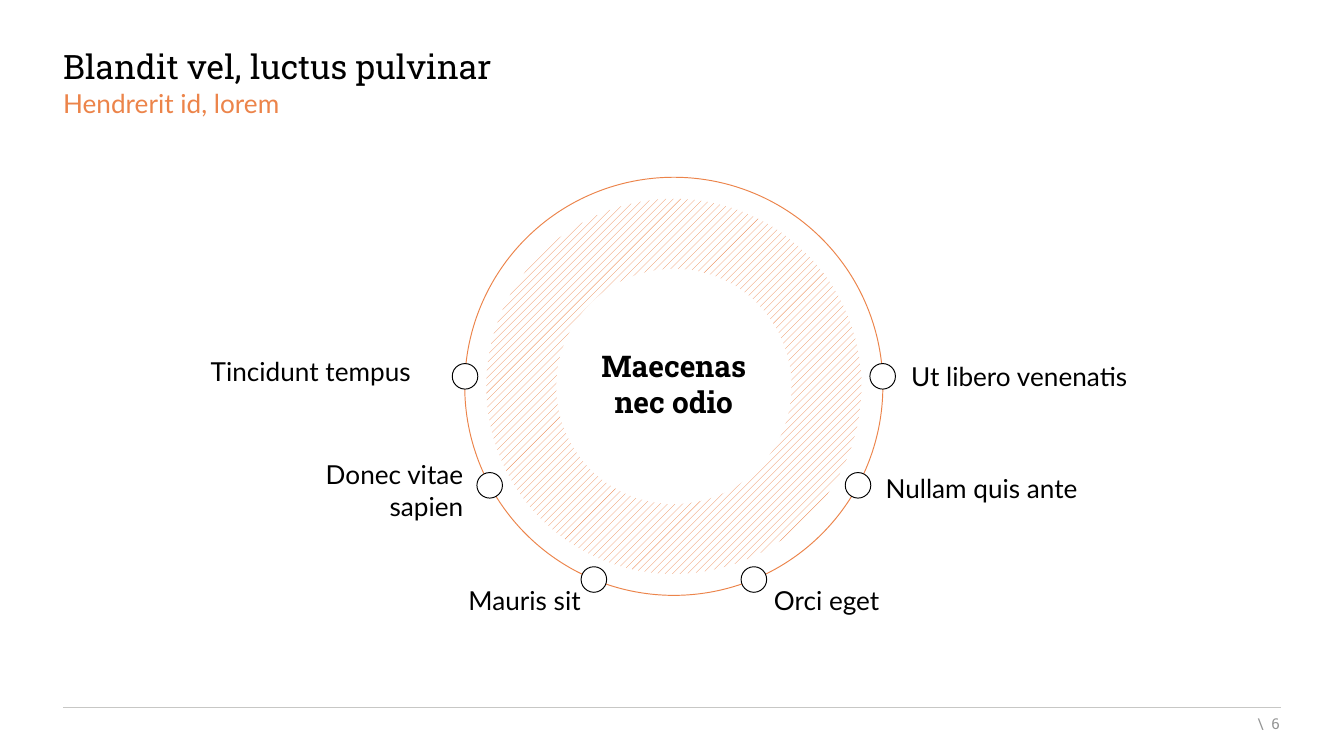
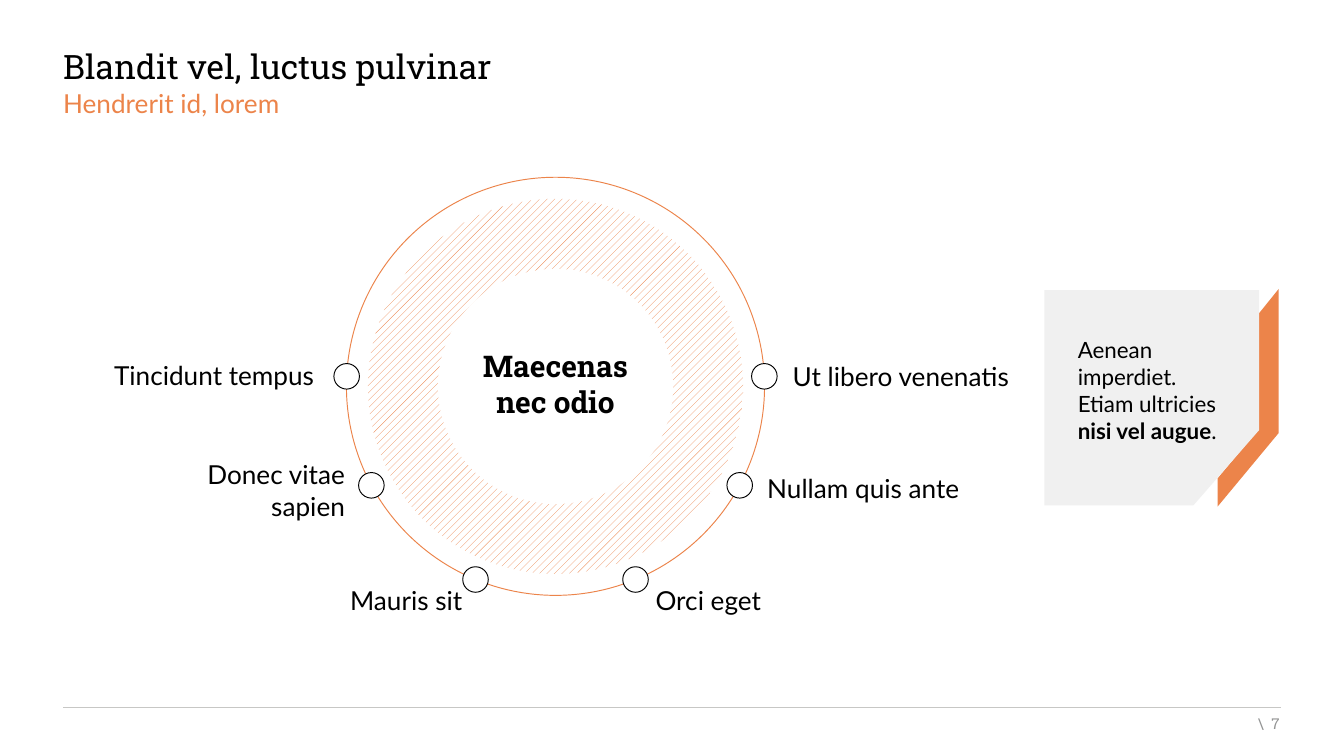
"""Build two ring diagram slides with six labelled points, the second with a note card."""
import math

import pptx
import pptx.dml.color
import pptx.enum.dml
import pptx.enum.shapes
import pptx.enum.text
import pptx.oxml
import pptx.oxml.ns
import pptx.util

Pt = pptx.util.Pt
ALIGN = pptx.enum.text.PP_ALIGN
ANCHOR = pptx.enum.text.MSO_ANCHOR
OVAL = pptx.enum.shapes.MSO_SHAPE.OVAL
ORANGE, BLACK, WHITE = "EC844A", "000000", "FFFFFF"
PAGE_GREY, RULE_GREY, CARD_GREY = "939494", "C7C7C5", "F0F0F0"
HEADING_FONT, BODY_FONT = "Roboto Slab", "Lato"
MARGIN, RIGHT_EDGE = 33.8, 686.2
CENTRE_Y, RING_RADIUS = 207, 112
DOT_ANGLES = [-2.75, 28.25, 67.5]


def set_colour(fill, colour):
    """Make a shape, line or font fill solid in the hex colour."""
    fill.solid()
    fill.fore_color.rgb = pptx.dml.color.RGBColor.from_string(colour)


def write_text(shape, box, runs, font, size, colour, align=ALIGN.LEFT, anchor=ANCHOR.TOP):
    """Place a text shape and fill it with (text, bold) runs."""
    for name, value in zip(("left", "top", "width", "height"), box):
        setattr(shape, name, Pt(value))
    frame = shape.text_frame
    frame_format = {
        "margin_left": 0, "margin_top": 0, "margin_right": 0, "margin_bottom": 0,
        "word_wrap": True, "vertical_anchor": anchor,
        "auto_size": pptx.enum.text.MSO_AUTO_SIZE.NONE,
    }
    for name, value in frame_format.items():
        setattr(frame, name, value)
    paragraph = frame.paragraphs[0]
    paragraph.alignment = align
    paragraph.space_before = Pt(0)
    for index, line in enumerate(runs[0][0].split("\n")):
        if index:
            paragraph.add_line_break()
        for text, bold in [(line, runs[0][1])] + (runs[1:] if index == 0 else []):
            run = paragraph.add_run()
            run.text = text
            for name, value in {"name": font, "size": Pt(size), "bold": bold}.items():
                setattr(run.font, name, value)
            set_colour(run.font.fill, colour)


presentation = pptx.Presentation()
presentation.slide_width, presentation.slide_height = Pt(720), Pt(405)

pages = [
    {"number": 6, "centre": 361, "tempus_right": -140.8, "tempus_top": 190.1, "card": False},
    {"number": 7, "centre": 297.6, "tempus_right": -129.2, "tempus_top": 192.2, "card": True},
]

for page in pages:
    slide = presentation.slides.add_slide(presentation.slide_layouts[1])
    shapes = slide.shapes
    centre = page["centre"]

    title, subtitle = slide.placeholders
    write_text(title, (MARGIN, 24.5, 504, 21.6), [("Blandit vel, luctus pulvinar", False)],
               HEADING_FONT, 18, BLACK)
    properties = subtitle.text_frame.paragraphs[0]._p.get_or_add_pPr()
    properties.set("marL", "0")
    properties.set("indent", "0")
    properties.append(pptx.oxml.parse_xml(f"<a:buNone {pptx.oxml.ns.nsdecls('a')}/>"))
    write_text(subtitle, (MARGIN, 46.8, 504, 17.3), [("Hendrerit id, lorem", False)],
               BODY_FONT, 14, ORANGE)

    rule = shapes.add_connector(pptx.enum.shapes.MSO_CONNECTOR.STRAIGHT,
                                Pt(MARGIN), Pt(378.7), Pt(RIGHT_EDGE), Pt(378.7))
    rule.line.width = Pt(0.25)
    set_colour(rule.line.fill, RULE_GREY)
    rule._element.spPr.append(
        pptx.oxml.parse_xml(f"<a:effectLst {pptx.oxml.ns.nsdecls('a')}/>"))
    write_text(shapes.add_textbox(0, 0, 0, 0), (660.2, 383, 25.4, 9.4),
               [(f"\\  {page['number']}", False)], HEADING_FONT, 8, PAGE_GREY,
               ALIGN.RIGHT, ANCHOR.MIDDLE)

    circles = [
        (centre, CENTRE_Y, 201, "hatch", None),
        (centre, CENTRE_Y, 126, WHITE, None),
        (centre, CENTRE_Y, 2 * RING_RADIUS, None, ORANGE),
    ]
    for angle in DOT_ANGLES:
        for side in (-1, 1):
            circles.append((centre + side * RING_RADIUS * math.cos(math.radians(angle)),
                            CENTRE_Y + RING_RADIUS * math.sin(math.radians(angle)),
                            13.7, WHITE, BLACK))
    for x, y, diameter, fill, outline in circles:
        circle = shapes.add_shape(OVAL, Pt(x - diameter / 2), Pt(y - diameter / 2),
                                  Pt(diameter), Pt(diameter))
        circle.shadow.inherit = False
        if fill == "hatch":
            circle.fill.patterned()
            circle.fill.pattern = pptx.enum.dml.MSO_PATTERN.WIDE_UPWARD_DIAGONAL
            circle.fill.fore_color.rgb = pptx.dml.color.RGBColor.from_string(ORANGE)
            circle.fill.back_color.rgb = pptx.dml.color.RGBColor.from_string(WHITE)
        elif fill:
            set_colour(circle.fill, fill)
        else:
            circle.fill.background()
        if outline:
            circle.line.width = Pt(0.5)
            set_colour(circle.line.fill, outline)
        else:
            circle.line.fill.background()

    write_text(shapes.add_textbox(0, 0, 0, 0), (centre - 64.4, 186.5, 128.8, 38.9),
               [("Maecenas\nnec odio", True)], HEADING_FONT, 16, BLACK, ALIGN.CENTER)

    labels = [
        ("Tincidunt tempus", page["tempus_right"] - 123, page["tempus_top"], 123, 17, ALIGN.RIGHT),
        ("Donec vitae sapien", -218.5, 245.5, 105.8, 34, ALIGN.RIGHT),
        ("Mauris sit", -111.2, 313.2, 62.6, 17, ALIGN.CENTER),
        ("Ut libero venenatis", 127.1, 193.2, 122.4, 17, ALIGN.LEFT),
        ("Nullam quis ante", 113.4, 252.7, 133.2, 17, ALIGN.LEFT),
        ("Orci eget", 53.6, 313.2, 117, 17, ALIGN.LEFT),
    ]
    for text, offset, top, width, height, align in labels:
        write_text(shapes.add_textbox(0, 0, 0, 0), (centre + offset, top, width, height),
                   [(text, False)], BODY_FONT, 14, BLACK, align, ANCHOR.MIDDLE)

    if page["card"]:
        ribbon = [(674, 168.5), (685, 154.8), (685, 232), (652.3, 271.4),
                  (652.3, 256.3), (674, 230.4)]
        card = [(559.5, 155.5), (674.6, 155.5), (674.6, 230.4), (639.4, 270.7), (559.5, 270.7)]
        for points, colour in ((ribbon, ORANGE), (card, CARD_GREY)):
            corners = [(Pt(x), Pt(y)) for x, y in points]
            builder = shapes.build_freeform(*corners[0])
            builder.add_line_segments(corners[1:], close=True)
            outline = builder.convert_to_shape()
            outline.shadow.inherit = False
            set_colour(outline.fill, colour)
            outline.line.fill.background()
        write_text(shapes.add_textbox(0, 0, 0, 0), (577.4, 180, 82.8, 58.3),
                   [("Aenean imperdiet. Etiam ultricies ", False), ("nisi vel augue", True),
                    (".", False)], BODY_FONT, 12, BLACK)

presentation.save("out.pptx")
